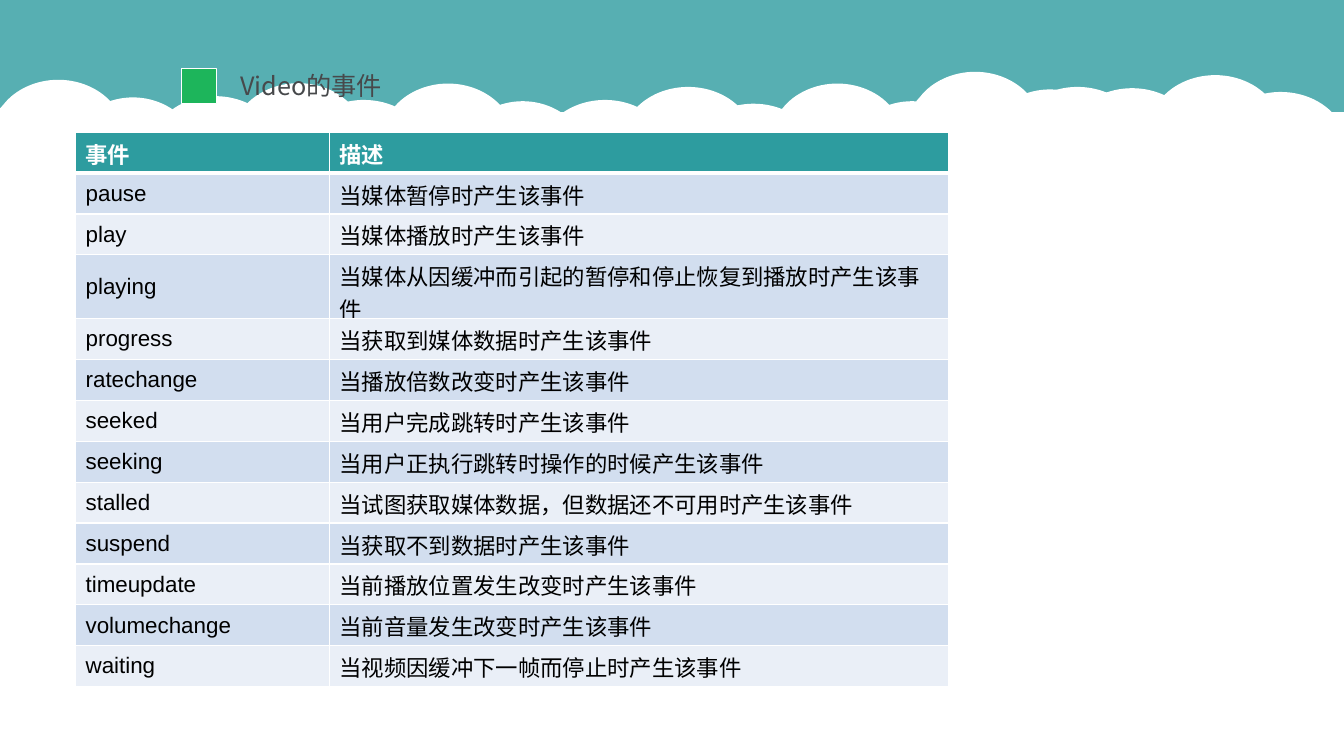
from dataclasses import dataclass

from lxml import etree
from pptx import Presentation
from pptx.dml.color import RGBColor
from pptx.enum.shapes import MSO_SHAPE
from pptx.enum.text import MSO_ANCHOR, MSO_AUTO_SIZE
from pptx.oxml.ns import qn
from pptx.util import Emu, Inches, Pt

RECTANGLE = MSO_SHAPE.RECTANGLE
ELLIPSE = MSO_SHAPE.OVAL
MIDDLE, TOP = MSO_ANCHOR.MIDDLE, MSO_ANCHOR.TOP
GROW = MSO_AUTO_SIZE.SHAPE_TO_FIT_TEXT

COLUMNS, ROWS = 160, 90
CELL = Inches(7.5) / ROWS
COLORS = {
    "teal": "2D9C9F", "white": "FFFFFF", "green": "1DB55B", "title": "47494B",
    "black": "000000", "odd": "D2DEEF", "even": "EAEFF7",
}
LATIN, CHINESE = "Arial", "Noto Sans CJK SC"
Point = tuple[float, float]


@dataclass(frozen=True)
class Box:
    left: float
    top: float
    width: float
    height: float

    def emu(self) -> tuple[Emu, Emu, Emu, Emu]:
        return grid(self.left), grid(self.top), grid(self.width), grid(self.height)


@dataclass(frozen=True)
class Puff:
    dx: float
    dy: float
    height: float
    cut_arc: tuple[Point, ...] = ()
    round_side: int = 1


@dataclass(frozen=True)
class Event:
    name: str
    description: str


PUFF_WIDTH = 15.85
LEFT_CUT = ((-0.34, 1), (-0.65, 0.82), (-0.82, 0.56), (-0.88, 0.48))
RIGHT_CUT = ((0.41, 1), (0.77, 0.75), (0.92, 0.39), (0.95, 0.33))
CUT_PLAN = "CCCLLLC"
CLOUD_BANK = [
    Puff(-1, 0, 13.4, LEFT_CUT),
    Puff(7.9, 2.1, 14.55),
    Puff(17.7, 1.95, 13.35),
    Puff(27.6, 0.4, 13.35),
    Puff(35.4, 2.4, 13.4, RIGHT_CUT, -1),
]
BANK_ORIGINS = [(0, 9.5), (46.4, 9.95), (92.75, 9.95), (109.15, 8.55)]

HEADER = Event("事件", "描述")
EVENTS = [
    Event("pause", "当媒体暂停时产生该事件"),
    Event("play", "当媒体播放时产生该事件"),
    Event("playing", "当媒体从因缓冲而引起的暂停和停止恢复到播放时产生该事件"),
    Event("progress", "当获取到媒体数据时产生该事件"),
    Event("ratechange", "当播放倍数改变时产生该事件"),
    Event("seeked", "当用户完成跳转时产生该事件"),
    Event("seeking", "当用户正执行跳转时操作的时候产生该事件"),
    Event("stalled", "当试图获取媒体数据，但数据还不可用时产生该事件"),
    Event("suspend", "当获取不到数据时产生该事件"),
    Event("timeupdate", "当前播放位置发生改变时产生该事件"),
    Event("volumechange", "当前音量发生改变时产生该事件"),
    Event("waiting", "当视频因缓冲下一帧而停止时产生该事件"),
]
TABLE_BOX = Box(9, 15.74, 103.92, 66.16)
NAME_COLUMN = 30.24
ROW_HEIGHT = 4.87


def grid(cells: float) -> Emu:
    return Emu(round(cells * CELL))


def color(key: str) -> RGBColor:
    return RGBColor.from_string(COLORS[key])


def paint(shape, fill: str, outline: str = ""):
    shape.shadow.inherit = False
    shape.fill.solid()
    shape.fill.fore_color.rgb = color(fill)
    if outline:
        shape.line.color.rgb = color(outline)
        shape.line.width = Pt(1)
    else:
        shape.line.fill.background()
    return shape


def add_block(shapes, kind, box: Box, fill: str, outline: str = ""):
    return paint(shapes.add_shape(kind, *box.emu()), fill, outline)


def curve_segments(shape, plan: str) -> None:
    segments = list(shape._element.iter(qn("a:lnTo")))
    for step in plan:
        segment = segments.pop(0)
        if step == "C":
            curve = etree.Element(qn("a:cubicBezTo"))
            segment.addprevious(curve)
            for part in (segment, segments.pop(0), segments.pop(0)):
                curve.append(part[0])
                part.getparent().remove(part)


def add_puff(shapes, puff: Puff, origin: Point) -> None:
    left, top = origin[0] + puff.dx, origin[1] + puff.dy
    if not puff.cut_arc:
        add_block(shapes, ELLIPSE, Box(left, top, PUFF_WIDTH, puff.height), "white")
        return
    side = puff.round_side
    round_half = [(0.55 * side, -1), (side, -0.55), (side, 0),
                  (side, 0.55), (0.55 * side, 1), (0, 1)]
    upper_cut = [(x, -y) for x, y in reversed(puff.cut_arc)]
    unit_outline = [(0, -1), *round_half, *puff.cut_arc, *upper_cut, (0, -1)]
    radius_x, radius_y = PUFF_WIDTH / 2, puff.height / 2
    outline = [(grid(left + radius_x * (1 + x)), grid(top + radius_y * (1 + y)))
               for x, y in unit_outline]
    builder = shapes.build_freeform(*outline[0])
    builder.add_line_segments(outline[1:], close=True)
    cloud = paint(builder.convert_to_shape(), "white")
    curve_segments(cloud, CUT_PLAN)


def add_text(frame, text: str, size: int, font: str, key: str, bold: bool = False) -> None:
    run = frame.paragraphs[0].add_run()
    run.text = text
    run.font.size = Pt(size)
    run.font.bold = bold
    run.font.name = font
    run.font.color.rgb = color(key)
    east_asian = etree.SubElement(run.font._element, qn("a:ea"))
    east_asian.set("typeface", CHINESE)


def add_borders(cell, top: int, bottom: int) -> None:
    properties = cell._tc.get_or_add_tcPr()
    sides = {"lnL": 1, "lnR": 1, "lnT": top, "lnB": bottom}
    for position, (side, points) in enumerate(sides.items()):
        border = etree.Element(qn(f"a:{side}"), w=str(Pt(points)))
        fill = etree.SubElement(border, qn("a:solidFill"))
        etree.SubElement(fill, qn("a:srgbClr"), val=COLORS["white"])
        properties.insert(position, border)


def add_event_table(shapes) -> None:
    entries = [HEADER, *EVENTS]
    frame = shapes.add_table(len(entries), 2, *TABLE_BOX.emu())
    table = frame.table
    table.columns[0].width = grid(NAME_COLUMN)
    table.columns[1].width = grid(TABLE_BOX.width - NAME_COLUMN)
    for index, entry in enumerate(entries):
        table.rows[index].height = grid(ROW_HEIGHT)
        is_header = index == 0
        fill = "teal" if is_header else "odd" if index % 2 else "even"
        for column, text in enumerate((entry.name, entry.description)):
            cell = table.cell(index, column)
            cell.fill.solid()
            cell.fill.fore_color.rgb = color(fill)
            cell.vertical_anchor = TOP if is_header else MIDDLE
            add_text(cell.text_frame, text, 16, LATIN,
                     "white" if is_header else "black", is_header)
            add_borders(cell, 3 if index == 1 else 1, 3 if is_header else 1)
    frame.height = grid(TABLE_BOX.height)


presentation = Presentation()
presentation.slide_width = grid(COLUMNS)
presentation.slide_height = grid(ROWS)
slide = presentation.slides.add_slide(presentation.slide_layouts[6])
shapes = slide.shapes

sky = add_block(shapes, RECTANGLE, Box(0, -0.36, COLUMNS, 44.52), "teal")
sky_color = sky.fill._xPr.find(qn("a:solidFill"))[0]
etree.SubElement(sky_color, qn("a:alpha"), val="80000")
for bank_origin in BANK_ORIGINS:
    for cloud_puff in CLOUD_BANK:
        add_puff(shapes, cloud_puff, bank_origin)
add_block(shapes, RECTANGLE, Box(0, 13.36, COLUMNS, 54), "white")

title = shapes.add_textbox(*Box(27.4, 7.8, 49.56, 4.8).emu()).text_frame
title.word_wrap = True
title.auto_size = GROW
add_text(title, "Video的事件", 18, CHINESE, "title")
add_block(shapes, RECTANGLE, Box(21.6, 8.15, 4.2, 4.2), "green", "white")
add_event_table(shapes)

presentation.save("out.pptx")
